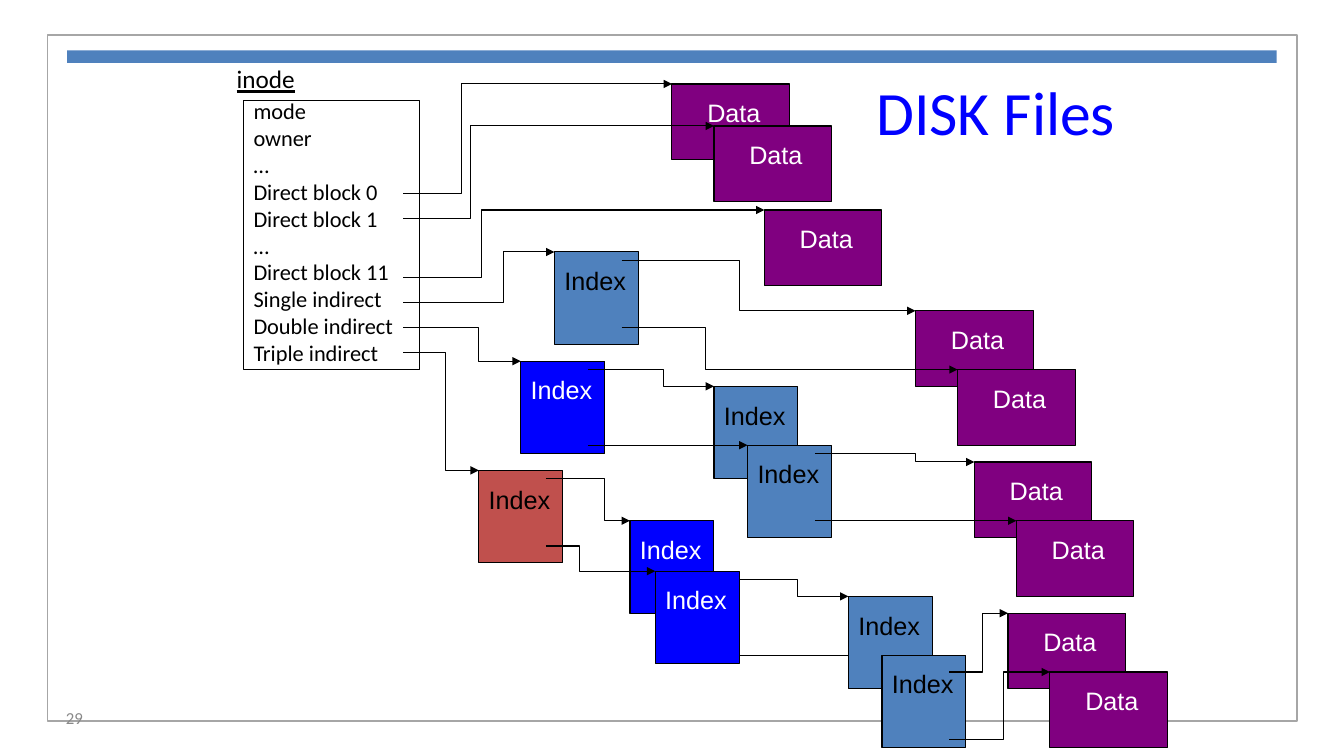
"""Build the slide that shows how an inode points to its data blocks."""
from itertools import product

from lxml.etree import SubElement
from pptx import Presentation
from pptx.dml.color import RGBColor
from pptx.enum.shapes import MSO_CONNECTOR as Link, MSO_SHAPE as Shape
from pptx.enum.text import MSO_ANCHOR as Anchor, PP_ALIGN as Align
from pptx.oxml.ns import qn
from pptx.util import Pt

hue = RGBColor.from_string
BLACK, WHITE, BLUE, STEEL = "000000", "FFFFFF", "0000FF", "4F81BD"


def write(frame, text, size, color=BLACK, font="Calibri", align=Align.LEFT,
          anchor=Anchor.TOP, wrap=True, under=None, left=7.2, right=7.2, top=3.6, space=None):
    frame.text = text
    frame.word_wrap = wrap
    frame.vertical_anchor = anchor
    frame.margin_left, frame.margin_right = Pt(left), Pt(right)
    frame.margin_top = frame.margin_bottom = Pt(top)
    for para in frame.paragraphs:
        para.alignment = align
        para.line_spacing = space
        face = para.font
        face.name, face.size, face.underline = font, Pt(size), under
        face.color.rgb = hue(color)


def draw(x, y, wide, high, fill=None, line=None, width=0.75):
    rect = shapes.add_shape(Shape.RECTANGLE, Pt(x), Pt(y), Pt(wide), Pt(high))
    rect.shadow.inherit = False
    if fill:
        rect.fill.solid()
        rect.fill.fore_color.rgb = hue(fill)
    else:
        rect.fill.background()
    if line:
        rect.line.color.rgb = hue(line)
        rect.line.width = Pt(width)
    else:
        rect.line.fill.background()
    return rect


deck = Presentation()
deck.slide_width, deck.slide_height = Pt(960), Pt(540)
slide = deck.slides.add_slide(deck.slide_layouts[5])
shapes = slide.shapes

draw(34, 25, 892.5, 490, line="A6A6A6", width=1)
draw(48, 36, 864, 9, fill=STEEL)

title = shapes.title
title.left, title.top, title.width, title.height = Pt(192), Pt(48), Pt(612), Pt(42)
write(title.text_frame, "DISK Files", 44, BLUE, align=Align.RIGHT, space=Pt(54))

fields = ["mode", "owner", "…", "Direct block 0", "Direct block 1", "…",
          "Direct block 11", "Single indirect", "Double indirect", "Triple indirect"]
draw(174, 72, 126, 192, line=BLACK)
inode = shapes.add_textbox(Pt(174), Pt(66), Pt(114.5), Pt(199.5))
write(inode.text_frame, "\n".join(fields), 16, wrap=False)
head = shapes.add_textbox(Pt(162), Pt(42), Pt(57), Pt(29))
write(head.text_frame, "inode", 18, wrap=False, under=True)

# kind: label, width, height, fill, text colour, left inset
kinds = {
    "data": ("Data", 84, 54, "800080", WHITE, 25.2),
    "single": ("Index", 60, 66, STEEL, BLACK, 7.2),
    "double": ("Index", 60, 66, BLUE, WHITE, 7.2),
    "triple": ("Index", 60, 66, "C0504D", BLACK, 7.2),
}
# kind, block corner x and y, wire start x and y, wire bend x
blocks = [
    ("data", 480, 60, 288, 138, 330),
    ("data", 510, 90, 288, 156, 336),
    ("data", 546, 150, 288, 198, 344),
    ("single", 396, 180, 288, 216, 360),
    ("data", 654, 222, 444, 186, 528),
    ("data", 684, 264, 444, 234, 504),
    ("double", 372, 258, 288, 234, 342),
    ("single", 510, 276, 420, 264, 474),
    ("single", 534, 318, 420, 318, None),
    ("data", 696, 330, 582, 324, 654),
    ("data", 726, 372, 582, 372, None),
    ("triple", 342, 336, 288, 252, 318),
    ("double", 450, 372, 390, 342, 432),
    ("double", 468, 408, 390, 390, 414),
    ("data", 720, 438, 678, 480, 702),
    ("data", 750, 480, 678, 528, 717),
]
# blocks whose wires run behind the others
deep = [
    ("single", 606, 426, 516, 414, 570),
    ("single", 630, 468, 516, 468, None),
]
steps = [*product(deep, ["wire"]), *product(blocks + deep, ["block"]),
         *product(blocks, ["wire"])]

for (kind, x, y, start, level, bend), part in steps:
    if part == "block":
        label, wide, high, fill, color, inset = kinds[kind]
        block = draw(x, y, wide, high, fill, BLACK)
        write(block.text_frame, label, 18, color, "Arial", left=inset, right=0, top=9.6)
        continue
    if bend is None:
        wire = shapes.add_connector(Link.STRAIGHT, Pt(start), Pt(level), Pt(x), Pt(y))
    else:
        pen = shapes.build_freeform(Pt(start), Pt(level))
        pen.add_line_segments([(Pt(bend), Pt(level)), (Pt(bend), Pt(y)), (Pt(x), Pt(y))],
                              close=False)
        wire = pen.convert_to_shape()
        wire.fill.background()
    wire.line.color.rgb = hue(BLACK)
    wire.line.width = Pt(0.75)
    props = wire.element.spPr
    SubElement(props.find(qn("a:ln")), qn("a:tailEnd"), type="triangle")
    SubElement(props, qn("a:effectLst"))

page = shapes.add_textbox(Pt(40), Pt(498), Pt(104), Pt(29))
write(page.text_frame, "29", 12, "898989", anchor=Anchor.MIDDLE)

deck.save("out.pptx")
